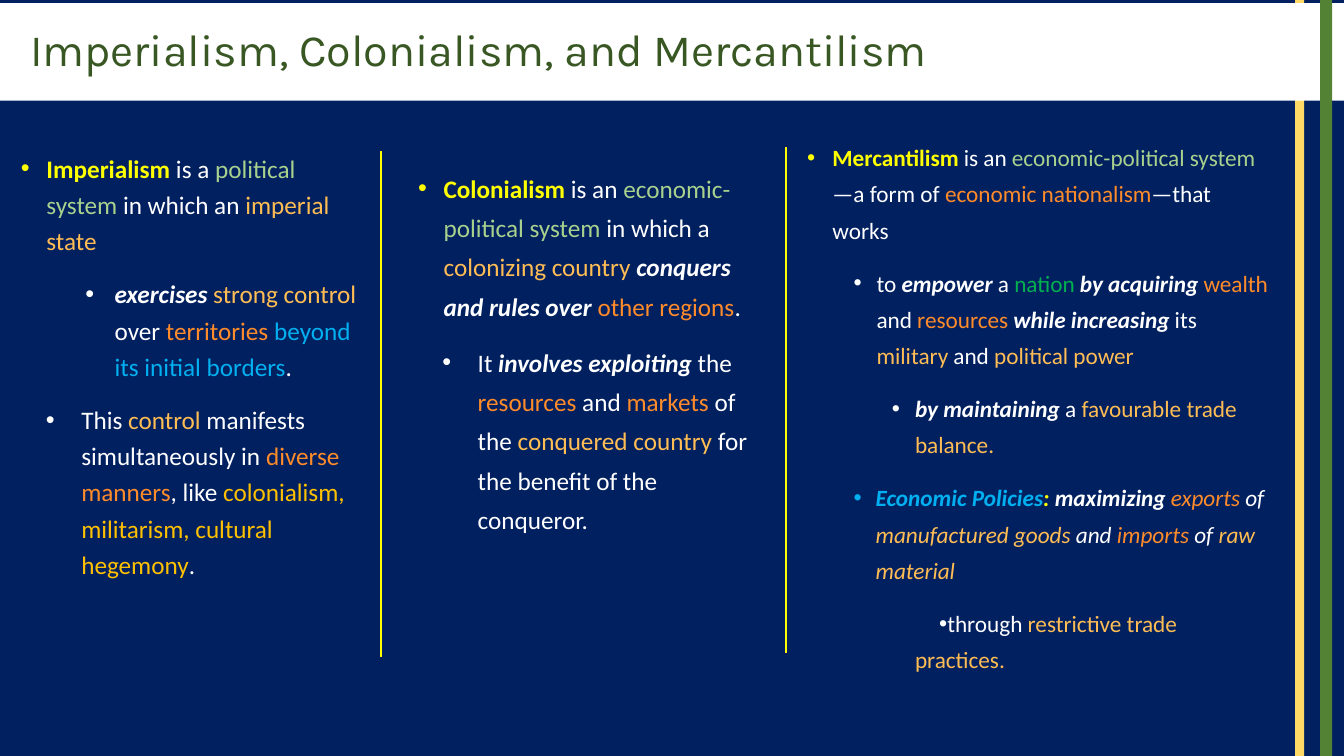
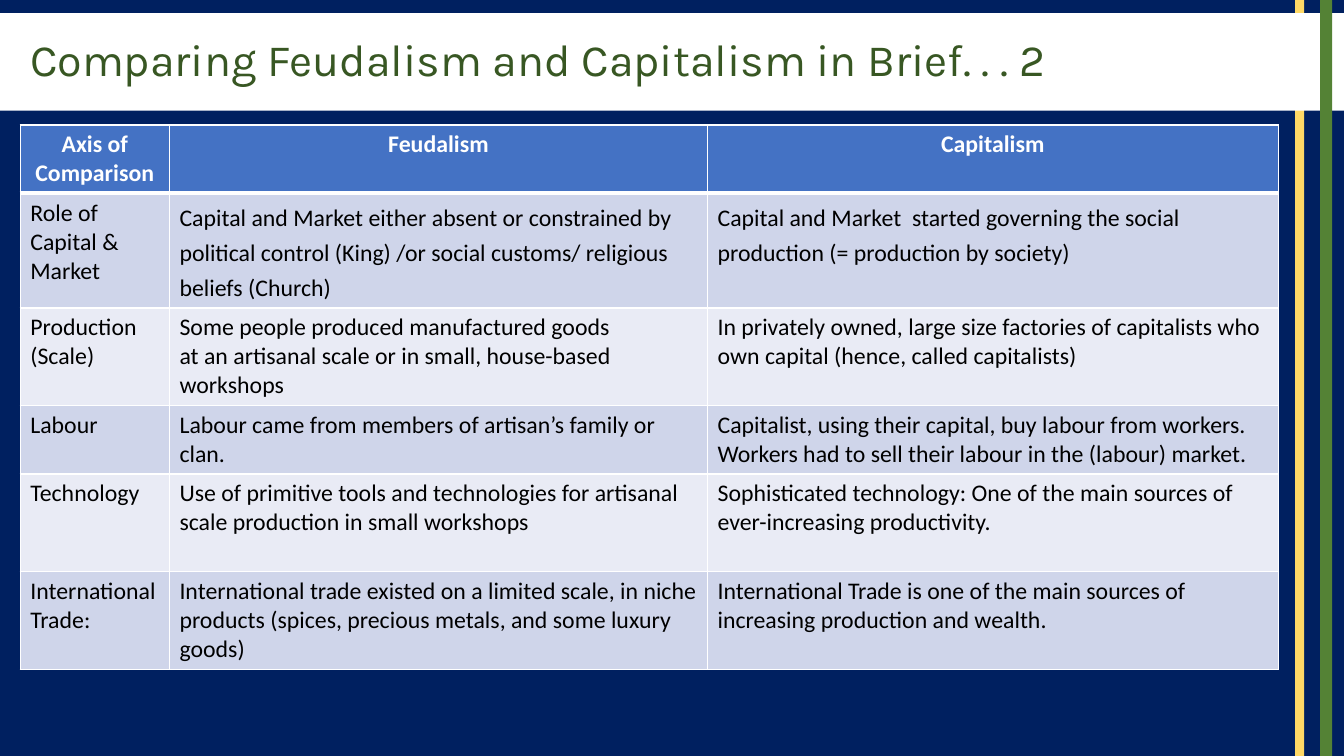
import pptx
import pptx.dml.color
import pptx.enum.shapes
import pptx.enum.text
import pptx.oxml.ns
import pptx.util
from lxml import etree

Cm = pptx.util.Cm
Pt = pptx.util.Pt

# Shared look
PAGE_WIDTH, PAGE_HEIGHT = 33.87, 19.05
TITLE_FONT, BODY_FONT = "Karla", "Calibri"
NAVY, WHITE, BLACK = "002060", "FFFFFF", "000000"
PALE_GOLD, LEAF, DARK_GREEN = "FFD966", "548235", "385723"
YELLOW, AMBER, ORANGE, GOLD = "FFFF00", "FFBD54", "FF8B2A", "FFC000"
MINT, GREEN, SKY = "A9D18E", "00B050", "00B0F0"
HEADER_BLUE, BANDS = "4472C4", ("CFD5EA", "E9EBF5")

# Column text: each paragraph is (left margin, first-line indent, runs);
# each run is (text, colour, style), where style may hold b and i
IMPERIALISM = [
    (0.64, -0.64, [
        ("Imperialism", YELLOW, "b"), (" is a ", WHITE, ""),
        ("political system ", MINT, ""), ("in which an ", WHITE, ""),
        ("imperial state", AMBER, "")]),
    (2.36, -0.74, [
        ("exercises ", WHITE, "bi"), ("strong control ", AMBER, ""),
        ("over ", WHITE, ""), ("territories ", ORANGE, ""),
        ("beyond its initial borders", SKY, ""), (".", WHITE, "")]),
    (1.52, -0.89, [
        ("This ", WHITE, ""), ("control", AMBER, ""),
        (" manifests simultaneously in ", WHITE, ""),
        ("diverse manners", ORANGE, ""), (", like ", WHITE, ""),
        ("colonialism, militarism, cultural hegemony", GOLD, ""),
        (".", WHITE, "")]),
]
COLONIALISM = [
    (0.64, -0.64, [
        ("Colonialism ", YELLOW, "b"), ("is an ", WHITE, ""),
        ("economic-political system ", MINT, ""), ("in which a ", WHITE, ""),
        ("colonizing country ", AMBER, ""),
        ("conquers and rules over ", WHITE, "bi"),
        ("other regions", ORANGE, ""), (".", WHITE, "")]),
    (1.5, -0.89, [
        ("It ", WHITE, ""), ("involves exploiting ", WHITE, "bi"),
        ("the ", WHITE, ""), ("resources", ORANGE, ""), (" and ", WHITE, ""),
        ("markets", ORANGE, ""), (" of the ", WHITE, ""),
        ("conquered country ", AMBER, ""),
        ("for the benefit of the conqueror.", WHITE, "")]),
]
MERCANTILISM = [
    (0.64, -0.64, [
        ("Mercantilism ", YELLOW, "b"), ("is an ", WHITE, ""),
        ("economic-political system", MINT, ""), ("—a form of ", WHITE, ""),
        ("economic nationalism", ORANGE, ""), ("—that works", WHITE, "")]),
    (1.75, -0.58, [
        ("to ", WHITE, ""), ("empower", WHITE, "bi"), (" a ", WHITE, ""),
        ("nation ", GREEN, ""), ("by acquiring ", WHITE, "bi"),
        ("wealth", ORANGE, ""), (" and", WHITE, ""),
        (" resources ", ORANGE, ""), ("while increasing ", WHITE, "bi"),
        ("its ", WHITE, ""), ("military", AMBER, ""), (" and ", WHITE, ""),
        ("political power", AMBER, "")]),
    (2.72, -0.58, [
        ("by maintaining ", WHITE, "bi"), ("a ", WHITE, ""),
        ("favourable trade balance.", AMBER, "")]),
    (1.73, -0.56, [
        ("Economic Policies", SKY, "bi"), (": ", YELLOW, "bi"),
        ("maximizing", WHITE, "bi"), (" exports ", ORANGE, "i"),
        ("of ", WHITE, "i"), ("manufactured goods ", AMBER, "i"),
        ("and ", WHITE, "i"), ("imports ", ORANGE, "i"),
        ("of ", WHITE, "i"), ("raw material", AMBER, "i")]),
    (2.72, 0.61, [
        ("through ", WHITE, ""),
        ("restrictive trade practices.", AMBER, "")]),
]

# Table text and sizes
COLUMN_WIDTHS = (3.76, 13.56, 14.38)
ROW_HEIGHTS = (1.72, 2.88, 2.46, 1.72, 2.46, 2.46)
COMPARISON = [
    ("Axis of Comparison", "Feudalism", "Capitalism"),
    ("Role of Capital & Market",
     "Capital and Market either absent or constrained by political control "
     "(King) /or social customs/ religious beliefs (Church)",
     "Capital and Market  started governing the social production "
     "(= production by society)"),
    ("Production (Scale)",
     "Some people produced manufactured goods\n"
     "at an artisanal scale or in small, house-based workshops",
     "In privately owned, large size factories of capitalists who own capital "
     "(hence, called capitalists)"),
    ("Labour",
     "Labour came from members of artisan’s family or clan.",
     "Capitalist, using their capital, buy labour from workers.\n"
     "Workers had to sell their labour in the (labour) market."),
    ("Technology",
     "Use of primitive tools and technologies for artisanal scale production "
     "in small workshops",
     "Sophisticated technology: One of the main sources of ever-increasing "
     "productivity."),
    ("International Trade:",
     "International trade existed on a limited scale, in niche products "
     "(spices, precious metals, and some luxury goods)",
     "International Trade is one of the main sources of increasing production "
     "and wealth."),
]


def colour(value):
    return pptx.dml.color.RGBColor.from_string(value)


def add_xml(parent, tag, **attributes):
    return etree.SubElement(parent, pptx.oxml.ns.qn(tag), **attributes)


def set_font(font, name, size, value):
    font.name = name
    font.size = Pt(size)
    font.color.rgb = colour(value)


def add_bar(page, left, top, width, height, fill):
    bar = page.shapes.add_shape(
        pptx.enum.shapes.MSO_SHAPE.RECTANGLE,
        Cm(left), Cm(top), Cm(width), Cm(height))
    bar.shadow.inherit = False
    bar.fill.solid()
    bar.fill.fore_color.rgb = colour(fill)
    bar.line.fill.background()
    return bar


def add_page(deck, title, title_top):
    """A page with its title band between the two side stripes."""
    page = deck.slides.add_slide(deck.slide_layouts[6])
    add_bar(page, 32.64, 0, 0.23, PAGE_HEIGHT, PALE_GOLD)
    band = add_bar(page, 0, title_top, PAGE_WIDTH, 2.46, WHITE)
    add_bar(page, 33.27, 0, 0.3, PAGE_HEIGHT, LEAF)
    frame = band.text_frame
    frame.margin_left = Cm(0.76)
    frame.vertical_anchor = pptx.enum.text.MSO_ANCHOR.MIDDLE
    para = frame.paragraphs[0]
    para.text = title
    para.alignment = pptx.enum.text.PP_ALIGN.LEFT
    para.line_spacing = 0.9
    set_font(para.font, TITLE_FONT, 32, DARK_GREEN)
    return page


def add_bullet(para, margin, indent, value):
    properties = para._p.get_or_add_pPr()
    properties.set("marL", str(Cm(margin)))
    properties.set("indent", str(Cm(indent)))
    add_xml(add_xml(properties, "a:buClr"), "a:srgbClr", val=value)
    add_xml(properties, "a:buFont", typeface="Arial")
    add_xml(properties, "a:buChar", char="•")


def add_bullets(page, left, top, width, height, size, spacing, paragraphs):
    box = page.shapes.add_textbox(Cm(left), Cm(top), Cm(width), Cm(height))
    frame = box.text_frame
    frame.word_wrap = True
    for index, (margin, indent, runs) in enumerate(paragraphs):
        para = frame.add_paragraph() if index else frame.paragraphs[0]
        add_bullet(para, margin, indent, runs[0][1])
        para.line_spacing = spacing
        para.space_before = Pt(12)
        set_font(para.font, BODY_FONT, size, WHITE)
        for text, value, style in runs:
            span = para.add_run()
            span.text = text
            span.font.color.rgb = colour(value)
            if "b" in style:
                span.font.bold = True
            if "i" in style:
                span.font.italic = True


def add_divider(page, left, top, length):
    line = page.shapes.add_connector(
        pptx.enum.shapes.MSO_CONNECTOR.STRAIGHT,
        Cm(left), Cm(top), Cm(left), Cm(top + length))
    line.line.color.rgb = colour(YELLOW)
    line.line.width = Pt(2)
    add_xml(line._element.spPr, "a:effectLst")


def add_borders(cell, bottom_width):
    properties = cell._tc.get_or_add_tcPr()
    for side, width in (("L", 1), ("R", 1), ("T", 1), ("B", bottom_width)):
        line = add_xml(properties, "a:ln" + side, w=str(Pt(width)))
        add_xml(add_xml(line, "a:solidFill"), "a:srgbClr", val=WHITE)


def fill_cell(cell, text, row, column):
    header = row == 0
    add_borders(cell, 3 if header else 1)
    cell.fill.solid()
    cell.fill.fore_color.rgb = colour(
        HEADER_BLUE if header else BANDS[(row - 1) % 2])
    cell.text = text
    for para in cell.text_frame.paragraphs:
        set_font(para.font, BODY_FONT, 17, WHITE if header else BLACK)
        para.font.bold = header
        if header:
            para.alignment = pptx.enum.text.PP_ALIGN.CENTER
        if row == 1 and column > 0:
            para.line_spacing = 1.2


def add_comparison(page, left, top, rows):
    table = page.shapes.add_table(
        len(rows), len(COLUMN_WIDTHS), Cm(left), Cm(top),
        Cm(sum(COLUMN_WIDTHS)), Cm(sum(ROW_HEIGHTS))).table
    table.horz_banding = False
    for column, width in zip(table.columns, COLUMN_WIDTHS):
        column.width = Cm(width)
    for row, height in zip(table.rows, ROW_HEIGHTS):
        row.height = Cm(height)
    for row, texts in enumerate(rows):
        for column, text in enumerate(texts):
            fill_cell(table.cell(row, column), text, row, column)


def main():
    deck = pptx.Presentation()
    deck.slide_width = Cm(PAGE_WIDTH)
    deck.slide_height = Cm(PAGE_HEIGHT)
    background = deck.slide_master.background.fill
    background.solid()
    background.fore_color.rgb = colour(NAVY)

    # Three columns of definitions
    page = add_page(deck, "Imperialism, Colonialism, and Mercantilism", 0.08)
    add_bullets(page, 0.28, 3.58, 9.32, 11.86, 18, 1.2, IMPERIALISM)
    add_bullets(page, 10.29, 4.01, 8.97, 10.95, 18, 1.3, COLONIALISM)
    add_bullets(page, 20.09, 3.28, 12.12, 14.25, 16.6, 1.3, MERCANTILISM)
    add_divider(page, 9.6, 3.81, 12.75)
    add_divider(page, 19.81, 3.71, 12.75)

    # Comparison table
    page = add_page(
        deck, "Comparing Feudalism and Capitalism in Brief. . . 2", 0.33)
    add_comparison(page, 0.51, 3.15, COMPARISON)

    deck.save("out.pptx")


if __name__ == "__main__":
    main()
